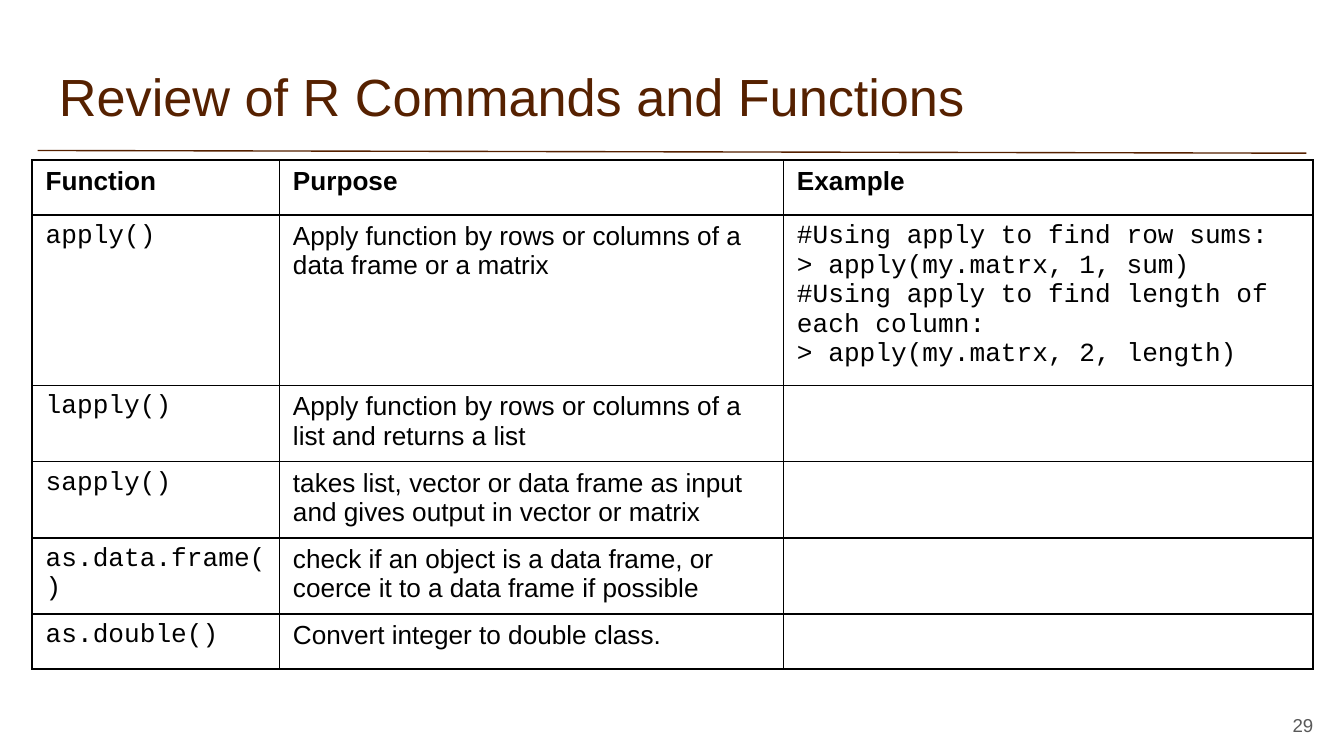
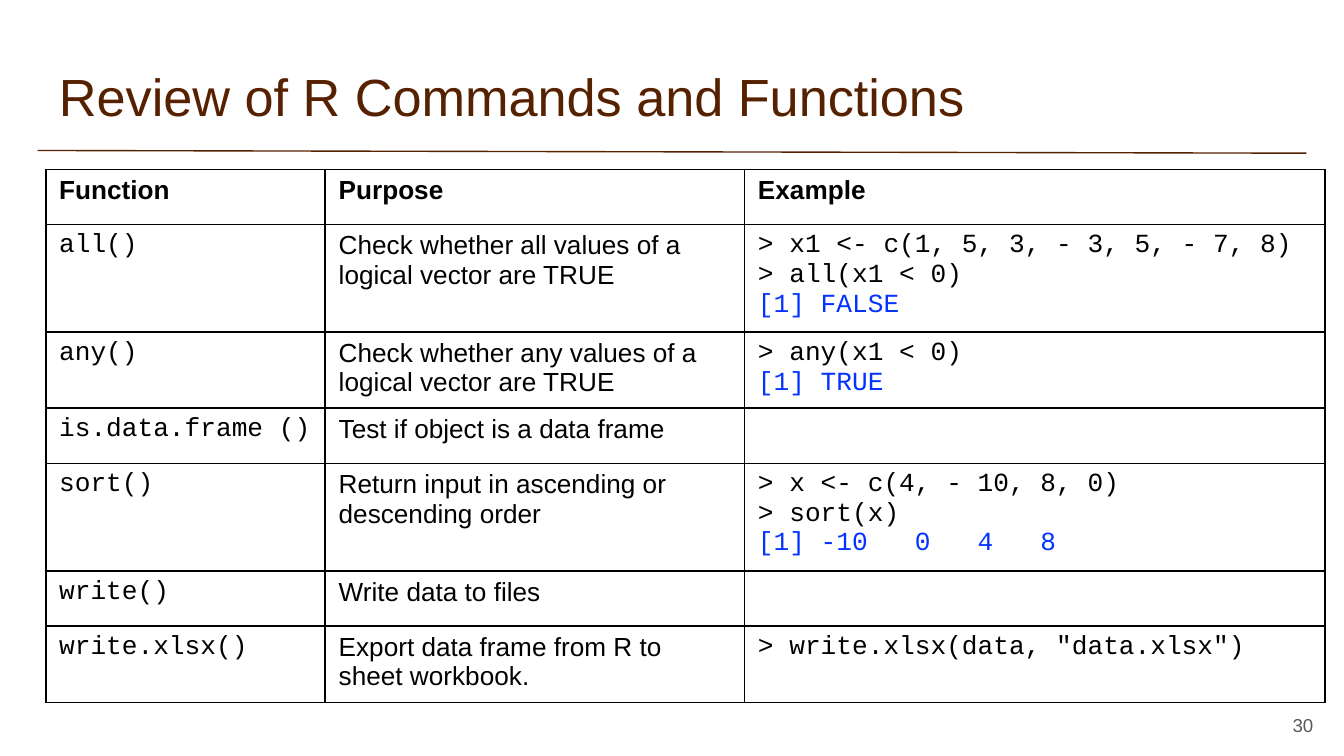
import pptx
import pptx.dml.color
import pptx.enum.shapes
import pptx.enum.text
import pptx.oxml
import pptx.oxml.ns
import pptx.util
from pptx.util import Inches

BROWN = pptx.dml.color.RGBColor(0x56, 0x21, 0x00)
GREY = pptx.dml.color.RGBColor(0x59, 0x59, 0x59)
BLACK = pptx.dml.color.RGBColor(0x00, 0x00, 0x00)
BLUE = pptx.dml.color.RGBColor(0x04, 0x32, 0xFF)
BODY_FONT, CODE_FONT = "Arial", "Courier New"

TITLE = "Review of R Commands and Functions"
HEADINGS = ("Function", "Purpose", "Example")

# Each row: function, purpose, lines of example code
REVIEWS = [
    {
        "number": 29,
        "place": (0.24, 1.19, 9.52, 3.78),
        "columns": (1.84, 3.75, 3.94),
        "rows": [
            ("apply()", "Apply function by rows or columns of a data frame or a matrix",
             ["#Using apply to find row sums:",
              "> apply(my.matrx, 1, sum)",
              "#Using apply to find length of each column:",
              "> apply(my.matrx, 2, length)"]),
            ("lapply()", "Apply function by rows or columns of a list and returns a list", []),
            ("sapply()", "takes list, vector or data frame as input and gives output in "
                         "vector or matrix", []),
            ("as.data.frame()", "check if an object is a data frame, or coerce it to a data "
                                "frame if possible", []),
            ("as.double()", "Convert integer to double class.", []),
        ],
    },
    {
        "number": 30,
        "place": (0.34, 1.26, 9.52, 3.95),
        "columns": (2.08, 3.12, 4.32),
        "rows": [
            ("all()", "Check whether all values of a logical vector are TRUE",
             ["> x1 <- c(1, 5, 3, - 3, 5, - 7, 8)", "> all(x1 < 0)", "[1] FALSE"]),
            ("any()", "Check whether any values of a logical vector are TRUE",
             ["> any(x1 < 0)", "[1] TRUE"]),
            ("is.data.frame ()", "Test if object is a data frame", []),
            ("sort()", "Return input in ascending or descending order",
             ["> x <- c(4, - 10, 8, 0)", "> sort(x)", "[1] -10   0   4   8"]),
            ("write()", "Write data to files", []),
            ("write.xlsx()", "Export data frame from R to sheet workbook.",
             ['> write.xlsx(data, "data.xlsx")']),
        ],
    },
]
ROW_HEIGHT = 0.41


def add_run(paragraph, text, size, color, font=BODY_FONT, bold=False):
    run = paragraph.add_run()
    run.text = text
    run.font.name = font
    run.font.size = pptx.util.Pt(size)
    run.font.bold = bold
    run.font.color.rgb = color


def add_label(slide, place, text, size, color, alignment):
    frame = slide.shapes.add_textbox(*map(Inches, place)).text_frame
    frame.word_wrap = True
    frame.vertical_anchor = pptx.enum.text.MSO_ANCHOR.MIDDLE
    frame.margin_left = frame.margin_right = Inches(0.1)
    frame.margin_top = frame.margin_bottom = Inches(0.1)
    paragraph = frame.paragraphs[0]
    paragraph.alignment = alignment
    add_run(paragraph, text, size, color)


def add_frame(slide, number):
    """Rule, title and page number shared by all slides."""
    rule = slide.shapes.add_connector(
        pptx.enum.shapes.MSO_CONNECTOR.STRAIGHT,
        Inches(0.28), Inches(1.12), Inches(9.72), Inches(1.14))
    rule.line.color.rgb = BROWN
    rule.line.width = pptx.util.Pt(0.75)
    properties = rule.element.find(pptx.oxml.ns.qn("p:spPr"))
    properties.append(pptx.oxml.parse_xml(
        f'<a:effectLst {pptx.oxml.ns.nsdecls("a")}/>'))
    align = pptx.enum.text.PP_ALIGN
    add_label(slide, (0.34, 0.38, 9.32, 0.66), TITLE, 28, BROWN, align.LEFT)
    add_label(slide, (9.27, 5.18, 0.6, 0.43), str(number), 10, GREY, align.RIGHT)


def style_cell(cell):
    properties = cell._tc.get_or_add_tcPr()
    for side in ("lnL", "lnR", "lnT", "lnB"):
        properties.append(pptx.oxml.parse_xml(
            f'<a:{side} {pptx.oxml.ns.nsdecls("a")} w="{pptx.util.Pt(1)}">'
            f'<a:solidFill><a:srgbClr val="{BLACK}"/></a:solidFill></a:{side}>'))
    cell.fill.background()


def fill_cell(cell, lines, font, bold):
    frame = cell.text_frame
    for index, line in enumerate(lines):
        paragraph = frame.add_paragraph() if index else frame.paragraphs[0]
        # Console output is blue
        color = BLUE if line.startswith("[1]") else BLACK
        add_run(paragraph, line, 14, color, font, bold)


def add_review_table(slide, review):
    rows, columns = review["rows"], review["columns"]
    place = [Inches(length) for length in review["place"]]
    graphic_frame = slide.shapes.add_table(len(rows) + 1, len(columns), *place)
    table = graphic_frame.table
    table.first_row = table.horz_banding = False
    for column, width in zip(table.columns, columns):
        column.width = Inches(width)
    for row in table.rows:
        row.height = Inches(ROW_HEIGHT)
    # Rows grow with their text, so the frame is taller than their minimum
    graphic_frame.height = place[3]

    contents = [[[heading] for heading in HEADINGS]]
    contents += [[[function], [purpose], example] for function, purpose, example in rows]
    for row_index, row in enumerate(contents):
        for column_index, lines in enumerate(row):
            header = row_index == 0
            font = BODY_FONT if header or column_index == 1 else CODE_FONT
            cell = table.cell(row_index, column_index)
            style_cell(cell)
            fill_cell(cell, lines, font, header)


def main():
    presentation = pptx.Presentation()
    # Widescreen, 16 to 9
    presentation.slide_width = Inches(10)
    presentation.slide_height = Inches(10 * 9 / 16)
    for review in REVIEWS:
        slide = presentation.slides.add_slide(presentation.slide_layouts[6])
        add_frame(slide, review["number"])
        add_review_table(slide, review)
    presentation.save("out.pptx")


if __name__ == "__main__":
    main()
